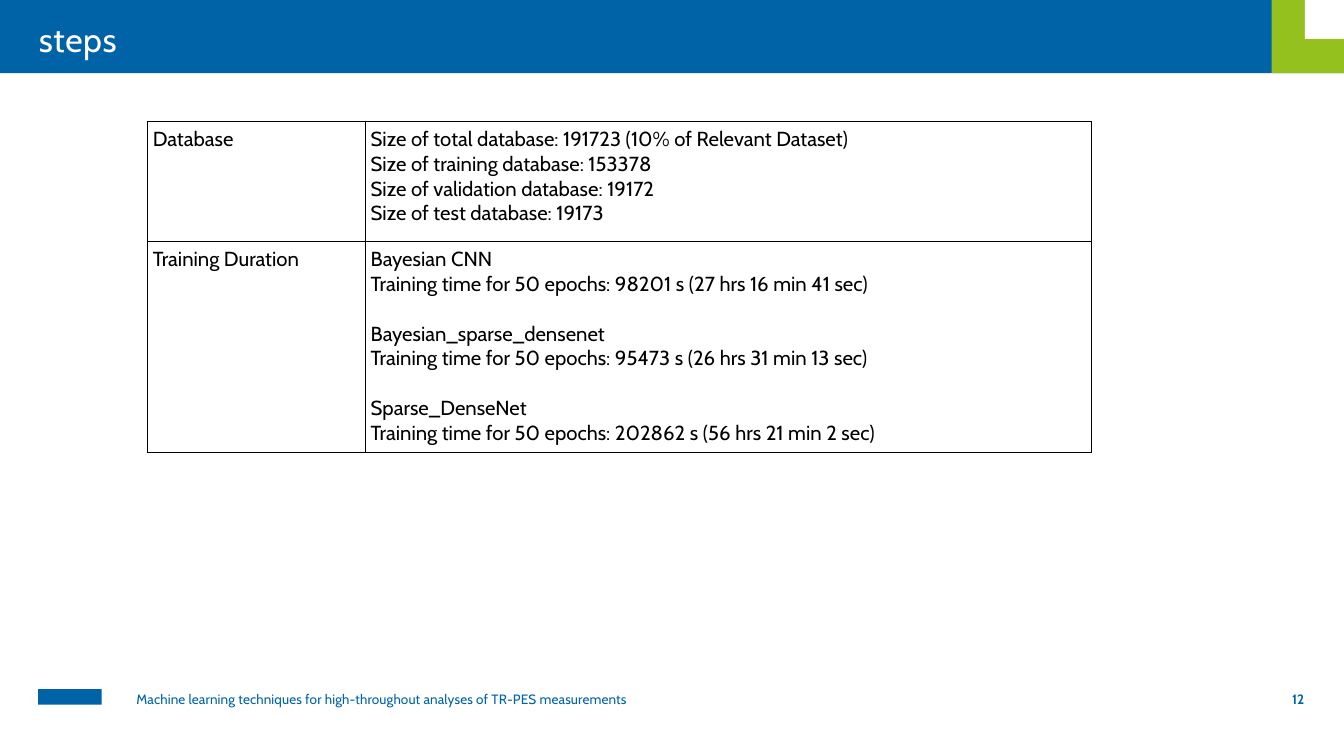
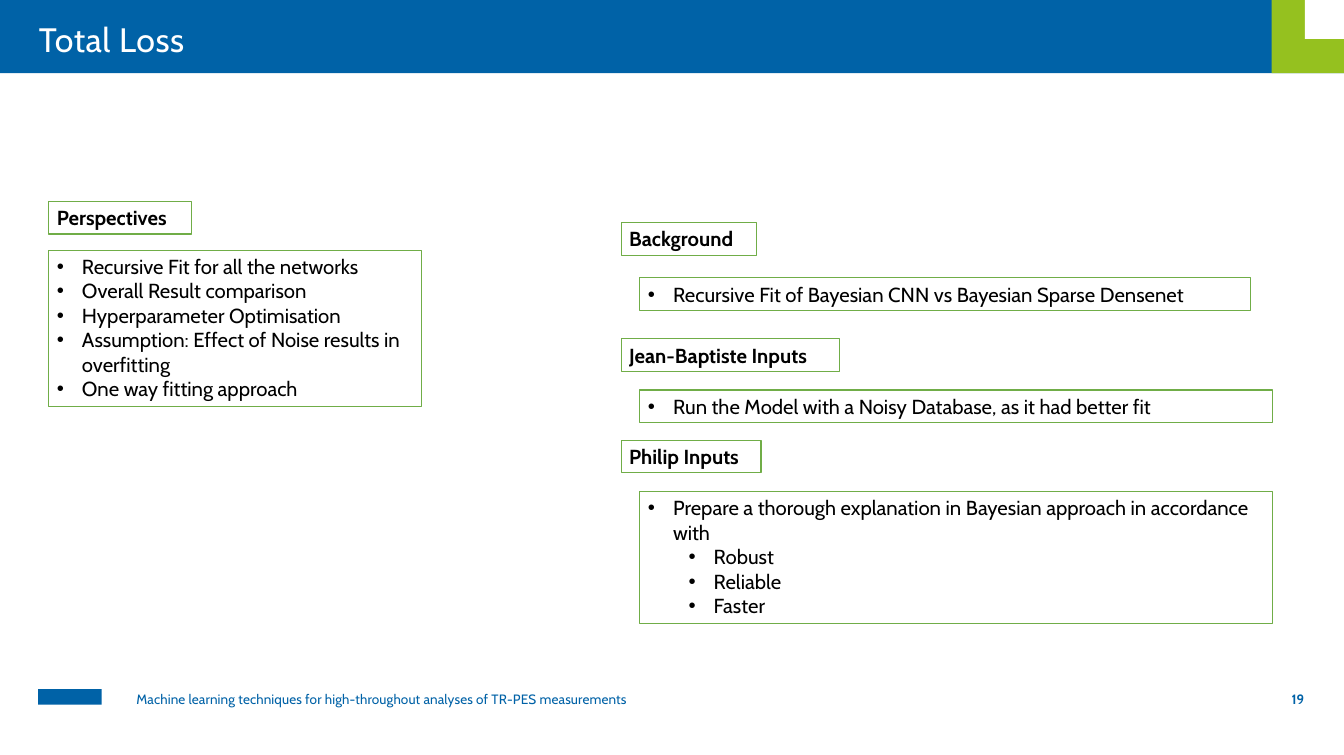
from lxml import etree
from pptx import Presentation
from pptx.dml.color import RGBColor
from pptx.enum.shapes import MSO_SHAPE
from pptx.enum.text import MSO_ANCHOR, PP_ALIGN
from pptx.oxml.ns import qn
from pptx.util import Pt

PX = 9144  # 100 px to the inch
RECT = MSO_SHAPE.RECTANGLE
TOP, MIDDLE = MSO_ANCHOR.TOP, MSO_ANCHOR.MIDDLE
LEFT, RIGHT = PP_ALIGN.LEFT, PP_ALIGN.RIGHT
FONT = "Cabin"
COLORS = {"blue": "0062A7", "green": "95C11F", "white": "FFFFFF",
          "black": "000000", "outline": "70AD47"}
INDENT = 31
SUB_INDENT = 50
FOOTER = "Machine learning techniques for high-throughout analyses of TR-PES measurements"


def write(tf, lines, size=18, color="black", bold=False, align=LEFT, anchor=TOP,
          spacing=0, bullets=False, sub_from=99, gaps=()):
    """Fill a text frame; lines from sub_from on are second-level bullets."""
    tf.word_wrap = True
    tf.vertical_anchor = anchor
    for i, line in enumerate(lines):
        p = tf.paragraphs[0] if i == 0 else tf.add_paragraph()
        p.alignment = align
        if i in gaps:
            p.space_before = Pt(22)
        if bullets:
            p.level = int(i >= sub_from)
            pPr = p._p.get_or_add_pPr()
            pPr.set("marL", str((INDENT + SUB_INDENT * p.level) * PX))
            pPr.set("indent", str(-INDENT * PX))
            etree.SubElement(pPr, qn("a:buFont")).set("typeface", "Arial")
            etree.SubElement(pPr, qn("a:buChar")).set("char", "•")
        r = p.add_run()
        r.text = line
        r.font.name = FONT
        r.font.size = Pt(size)
        r.font.bold = bold
        r.font.color.rgb = RGBColor.from_string(COLORS[color])
        if spacing:
            r._r.get_or_add_rPr().set("spc", str(spacing))


def add_rect(s, x, y, w, h, fill=None, line=None):
    sp = s.shapes.add_shape(RECT, x * PX, y * PX, w * PX, h * PX)
    sp.shadow.inherit = False
    if fill:
        sp.fill.solid()
        sp.fill.fore_color.rgb = RGBColor.from_string(COLORS[fill])
    else:
        sp.fill.background()
    if line:
        sp.line.color.rgb = RGBColor.from_string(COLORS[line])
        sp.line.width = Pt(1)
    else:
        sp.line.fill.background()
    return sp


prs = Presentation()
prs.slide_width, prs.slide_height = 1653 * PX, 929 * PX

# Shared title band, corner, footer and page number
slides = []
for title, number in (("steps", "12"), ("Total Loss", "19")):
    s = prs.slides.add_slide(prs.slide_layouts[6])
    for x, y, w, h, fill in (
        (47, 848, 78, 19, "blue"),
        (0, 0, 1653, 90, "blue"),
        (1564, 0, 89, 90, "green"),
        (1605, 0, 48, 48, "white"),
    ):
        add_rect(s, x, y, w, h, fill)
    for text, x, y, w, h, style in (
        (FOOTER, 158, 845, 704, 48, dict(size=12, color="blue", spacing=10)),
        (number, 1515, 836, 99, 49,
         dict(size=12, color="blue", bold=True, align=RIGHT, anchor=MIDDLE)),
        (title, 38, 18, 1279, 57, dict(size=30, color="white", spacing=50)),
    ):
        tb = s.shapes.add_textbox(x * PX, y * PX, w * PX, h * PX)
        write(tb.text_frame, [text], **style)
    slides.append(s)
steps, loss = slides

# Slide 1: table of database sizes and training times
rows = [
    (148, "Database", [
        "Size of total database: 191723 (10% of Relevant Dataset)",
        "Size of training database: 153378",
        "Size of validation database: 19172",
        "Size of test database: 19173",
    ], ()),
    (260, "Training Duration", [
        "Bayesian CNN",
        "Training time for 50 epochs: 98201 s (27 hrs 16 min 41 sec)",
        "Bayesian_sparse_densenet",
        "Training time for 50 epochs: 95473 s (26 hrs 31 min 13 sec)",
        "Sparse_DenseNet",
        "Training time for 50 epochs: 202862 s (56 hrs 21 min 2 sec)",
    ], (2, 4)),
]
table = steps.shapes.add_table(2, 2, 181 * PX, 149 * PX, 1162 * PX, 408 * PX).table
table.first_row = table.horz_banding = False
for col, width in zip(table.columns, (268, 894)):
    col.width = width * PX
for row, (height, label, details, gaps) in zip(table.rows, rows):
    row.height = height * PX
    write(row.cells[0].text_frame, [label])
    write(row.cells[1].text_frame, details, gaps=gaps)

for cell in table.iter_cells():
    cell.margin_left = cell.margin_right = cell.margin_top = cell.margin_bottom = 7 * PX
    cell.fill.background()
    tcPr = cell._tc.get_or_add_tcPr()
    for i, side in enumerate(("a:lnL", "a:lnR", "a:lnT", "a:lnB")):
        ln = etree.Element(qn(side), w=str(Pt(1)))
        fill = etree.SubElement(ln, qn("a:solidFill"))
        etree.SubElement(fill, qn("a:srgbClr")).set("val", COLORS["black"])
        tcPr.insert(i, ln)

# Slide 2: outlined headings
for text, x, y, w in (
    ("Perspectives", 60, 248, 176),
    ("Background", 764, 274, 167),
    ("Jean-Baptiste Inputs", 764, 417, 268),
    ("Philip Inputs", 764, 542, 172),
):
    sp = add_rect(loss, x, y, w, 40, line="outline")
    write(sp.text_frame, [text], bold=True)

# Slide 2: outlined bullet lists
for x, y, w, h, sub_from, lines in (
    (60, 308, 458, 192, 99, [
        "Recursive Fit for all the networks",
        "Overall Result comparison",
        "Hyperparameter Optimisation",
        "Assumption: Effect of Noise results in overfitting",
        "One way fitting approach",
    ]),
    (787, 342, 751, 40, 99,
     ["Recursive Fit of Bayesian CNN vs Bayesian Sparse Densenet"]),
    (787, 480, 778, 40, 99,
     ["Run the Model with a Noisy Database, as it had better fit"]),
    (787, 605, 778, 162, 1, [
        "Prepare a thorough explanation in Bayesian approach in accordance with",
        "Robust",
        "Reliable",
        "Faster",
    ]),
):
    sp = add_rect(loss, x, y, w, h, line="outline")
    write(sp.text_frame, lines, bullets=True, sub_from=sub_from)

prs.save("out.pptx")
